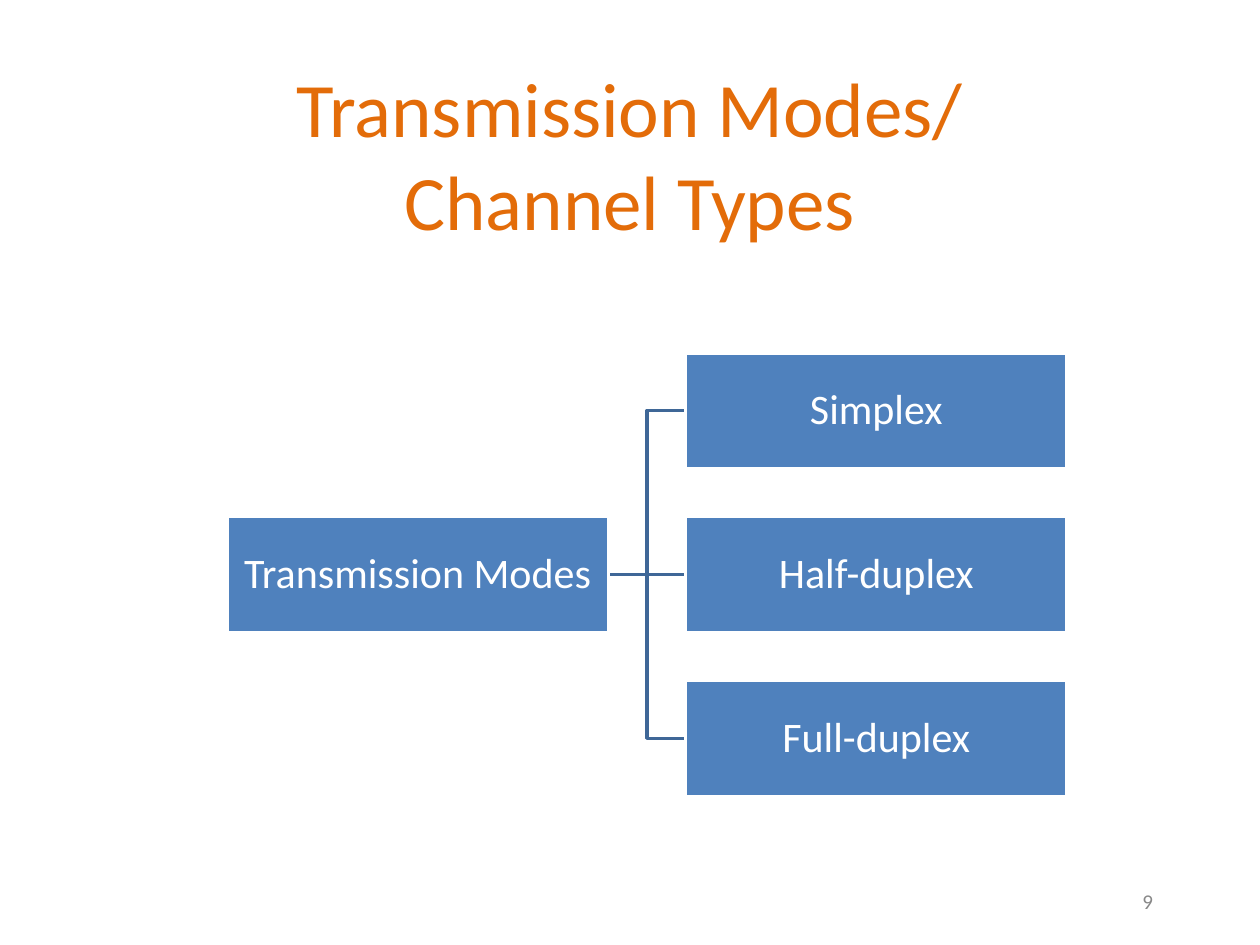
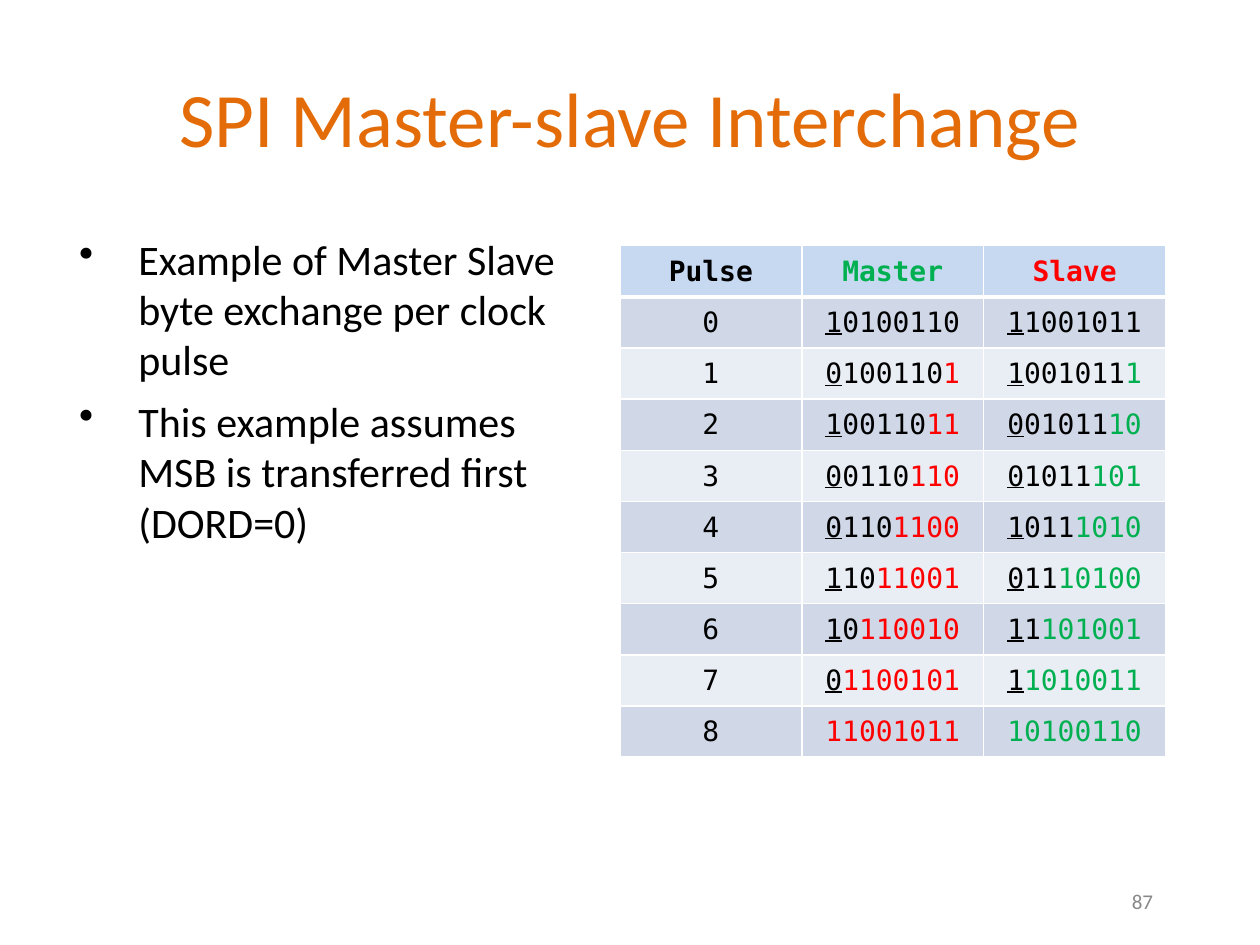
from dataclasses import dataclass

import pptx
import pptx.util
from lxml import etree
from pptx.dml.color import RGBColor
from pptx.enum.shapes import MSO_CONNECTOR, MSO_SHAPE
from pptx.enum.text import MSO_ANCHOR, PP_ALIGN
from pptx.oxml.ns import qn


@dataclass(frozen=True)
class Theme:
    sans: str = "Calibri"
    mono: str = "DejaVu Sans Mono"
    title_size: int = 44
    body_size: int = 24
    bits_size: int = 16
    number_size: int = 12
    title: str = "E36C09"
    ink: str = "000000"
    paper: str = "FFFFFF"
    number: str = "888888"
    box: str = "4F81BD"
    branch: str = "3F6797"
    header: str = "C6D9F1"
    bands: tuple = ("D0D8E8", "E9EDF4")
    master: str = "00B050"
    slave: str = "FF0000"


THEME = Theme()
COLUMNS, ROWS = 40, 30  # slide grid
SLIDE_WIDTH, SLIDE_HEIGHT = pptx.util.Inches(10), pptx.util.Inches(7.5)


def area(column, row, columns, rows):
    """Turn grid units into left, top, width and height."""
    across, down = SLIDE_WIDTH / COLUMNS, SLIDE_HEIGHT / ROWS
    return (round(column * across), round(row * down),
            round(columns * across), round(rows * down))


def style(font, size, color, family=THEME.sans, bold=False):
    font.name, font.size, font.bold = family, pptx.util.Pt(size), bold
    font.color.rgb = RGBColor.from_string(color)


def set_frame(frame, side, vertical, anchor=MSO_ANCHOR.MIDDLE):
    frame.word_wrap = True
    frame.vertical_anchor = anchor
    frame.margin_left = frame.margin_right = pptx.util.Inches(side)
    frame.margin_top = frame.margin_bottom = pptx.util.Inches(vertical)


# Shared parts of every slide
def add_label(slide, place, text, size, color, align, vertical):
    frame = slide.shapes.add_textbox(*area(*place)).text_frame
    set_frame(frame, 0.1, vertical)
    paragraph = frame.paragraphs[0]
    paragraph.text = text
    paragraph.alignment = align
    style(paragraph.font, size, color)


def add_slide(deck, title, title_rows, number):
    slide = deck.slides.add_slide(deck.slide_layouts[6])
    add_label(slide, (2, 1.2, 36, title_rows), title,
              THEME.title_size, THEME.title, PP_ALIGN.CENTER, 0.1)
    add_label(slide, (27.68, 27.8, 9.32, 1.6), str(number),
              THEME.number_size, THEME.number, PP_ALIGN.RIGHT, 0.05)
    return slide


# Tree of modes
def add_mode(slide, column, row, name):
    mode = slide.shapes.add_shape(MSO_SHAPE.RECTANGLE, *area(column, row, 12.12, 3.68))
    mode.shadow.inherit = False
    mode.fill.solid()
    mode.fill.fore_color.rgb = RGBColor.from_string(THEME.box)
    mode.line.color.rgb = RGBColor.from_string(THEME.paper)
    mode.line.width = pptx.util.Pt(2)
    set_frame(mode.text_frame, 0.02, 0.02)
    paragraph = mode.text_frame.paragraphs[0]
    paragraph.text = name
    paragraph.alignment = PP_ALIGN.CENTER
    paragraph.line_spacing = 0.9
    style(paragraph.font, THEME.body_size, THEME.paper)
    return mode


def add_branch(slide, kind):
    branch = slide.shapes.add_connector(kind, 0, 0, 0, 0)
    branch.line.color.rgb = RGBColor.from_string(THEME.branch)
    branch.line.width = pptx.util.Pt(2)
    etree.SubElement(branch._element.spPr, qn("a:effectLst"))
    return branch


def add_tree(slide, root_name, child_names):
    top, pitch, middle = 11.2, 5.2, len(child_names) // 2
    # Branches come first so that the box outlines cover their ends
    branches = [add_branch(slide, MSO_CONNECTOR.STRAIGHT if index == middle
                           else MSO_CONNECTOR.ELBOW)
                for index in range(len(child_names))]
    root = add_mode(slide, 7.2, top + middle * pitch, root_name)
    for index, (branch, name) in enumerate(zip(branches, child_names)):
        child = add_mode(slide, 21.76, top + index * pitch, name)
        branch.begin_connect(root, 3)
        branch.end_connect(child, 1)


# Bulleted text
def add_bullets(slide, place, points):
    frame = slide.shapes.add_textbox(*area(*place)).text_frame
    set_frame(frame, 0.1, 0.1, MSO_ANCHOR.TOP)
    for index, point in enumerate(points):
        paragraph = frame.add_paragraph() if index else frame.paragraphs[0]
        paragraph.text = point
        paragraph.space_before = pptx.util.Pt(6.4)
        style(paragraph.font, THEME.body_size, THEME.ink)
        properties = paragraph._p.get_or_add_pPr()
        properties.set("marL", str(pptx.util.Inches(0.5)))
        properties.set("indent", str(pptx.util.Inches(-0.47)))
        bullet = etree.Element(qn("a:buChar"), char="•")
        properties.insert_element_before(bullet, "a:tabLst", "a:defRPr", "a:extLst")


# Table of shifted bytes
def set_borders(cell, **widths):
    properties = cell._tc.get_or_add_tcPr()
    for side in "LRTB":
        width = pptx.util.Pt(widths.get(side, 1))
        line = etree.SubElement(properties, qn(f"a:ln{side}"), w=str(width))
        fill = etree.SubElement(line, qn("a:solidFill"))
        etree.SubElement(fill, qn("a:srgbClr"), val=THEME.paper)


def fill_cell(cell, fill, runs, bold=False, **borders):
    """Write runs of (text, color, underlined) into a cell."""
    set_borders(cell, **borders)
    cell.fill.solid()
    cell.fill.fore_color.rgb = RGBColor.from_string(fill)
    cell.vertical_anchor = MSO_ANCHOR.MIDDLE
    cell.margin_left = cell.margin_right = cell.margin_top = pptx.util.Inches(0.01)
    cell.margin_bottom = 0
    paragraph = cell.text_frame.paragraphs[0]
    paragraph.alignment = PP_ALIGN.CENTER
    for text, color, underlined in runs:
        run = paragraph.add_run()
        run.text = text
        style(run.font, THEME.bits_size, color, THEME.mono, bold)
        run.font.underline = underlined


def shifted(own, incoming, pulse, incoming_color):
    """Register after some pulses: next bit out, own bits, bits received."""
    runs = [(own[pulse:pulse + 1], THEME.ink, True),
            (own[pulse + 1:], THEME.ink, False),
            (incoming[:pulse], incoming_color, False)]
    return [run for run in runs if run[0]]


def add_exchange(slide, place, master, slave):
    pulses = len(master) + 1
    left, top, width, height = area(*place)
    table = slide.shapes.add_table(pulses + 1, 3, left, top, width, height).table
    headings = (("Pulse", THEME.ink), ("Master", THEME.master), ("Slave", THEME.slave))
    for column, (heading, color) in enumerate(headings):
        fill_cell(table.cell(0, column), THEME.header, [(heading, color, False)],
                  bold=True, B=3)
    for pulse in range(pulses):
        entries = ([(str(pulse), THEME.ink, False)],
                   shifted(master, slave, pulse, THEME.slave),
                   shifted(slave, master, pulse, THEME.master))
        for column, runs in enumerate(entries):
            fill_cell(table.cell(pulse + 1, column), THEME.bands[pulse % 2], runs,
                      T=1 if pulse else 3)


def main():
    deck = pptx.Presentation()
    deck.slide_width, deck.slide_height = SLIDE_WIDTH, SLIDE_HEIGHT

    modes = add_slide(deck, "Transmission Modes/\vChannel Types", 7.32, 9)
    add_tree(modes, "Transmission Modes", ("Simplex", "Half-duplex", "Full-duplex"))

    interchange = add_slide(deck, "SPI Master-slave Interchange", 5, 87)
    add_exchange(interchange, (19.68, 7.8, 17.32, 16.24), "10100110", "11001011")
    add_bullets(interchange, (2, 7, 16.12, 19.8), (
        "Example of Master Slave byte exchange per clock pulse",
        "This example assumes MSB is transferred first (DORD=0)"))

    deck.save("out.pptx")


if __name__ == "__main__":
    main()
